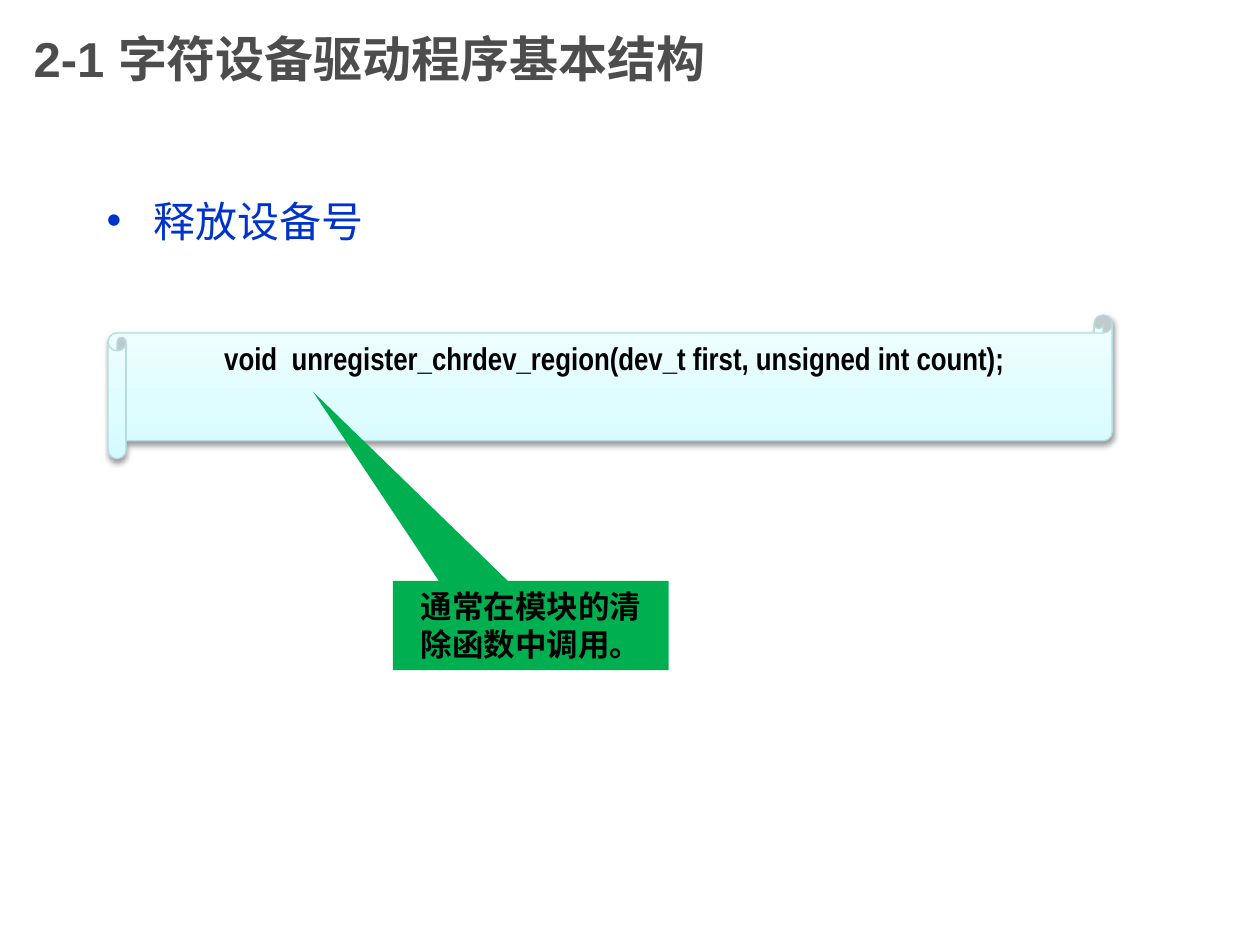
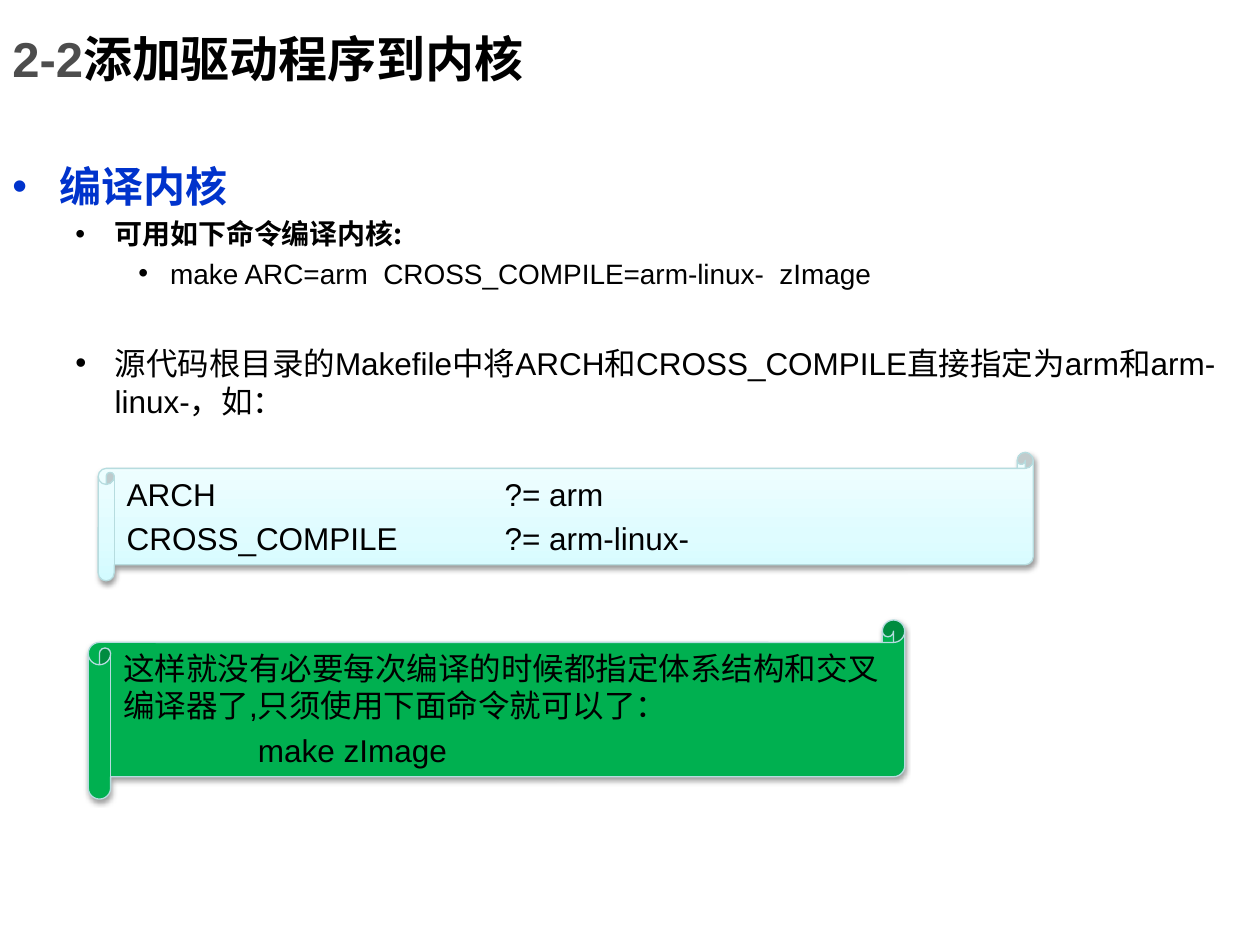
from lxml.etree import SubElement
from pptx import Presentation
from pptx.dml.color import RGBColor
from pptx.enum.shapes import MSO_SHAPE
from pptx.enum.text import MSO_ANCHOR, PP_ALIGN
from pptx.oxml.ns import qn
from pptx.util import Cm, Pt

COLORS = {
    "title": "4D4D4D",
    "heading": "0033CC",
    "text": "000000",
    "note": "00B050",
    "scroll_line": "B6DCDF",
    "shadow": "000000",
}
SCROLL_STOPS = [(0, "D3FBFF"), (35, "DFFCFF"), (100, "F2FEFF")]
CHINESE_FONT = "Noto Sans CJK SC"
LEVEL_INDENTS = [(0.95, 0.95), (2.06, 0.79), (3.18, 0.64)]


def color(name):
    """Return the named palette colour."""
    return RGBColor.from_string(COLORS[name])


def add_child(parent, tag, **attributes):
    """Append a drawing element with the given attributes."""
    values = {key: str(value) for key, value in attributes.items()}
    return SubElement(parent, qn(f"a:{tag}"), values)


def style_font(para, size, name="Arial", bold=False, tint="text"):
    """Set the font that all runs of a paragraph share."""
    font = para.font
    font.size, font.name, font.bold = Pt(size), name, bold
    font.color.rgb = color(tint)
    add_child(para._p.pPr.find(qn("a:defRPr")), "ea", typeface=CHINESE_FONT)


def fill_paragraphs(frame, items, write):
    """Write each item into its own paragraph of a text frame."""
    frame.word_wrap = True
    for index, item in enumerate(items):
        para = frame.add_paragraph() if index else frame.paragraphs[0]
        write(para, *item)


def add_title(page, left, number, text, text_color="title"):
    """Add the slide title, its number always grey."""
    box = page.shapes.add_textbox(Cm(left), 0, Cm(19.05), Cm(2.34))
    frame = box.text_frame
    frame.word_wrap = True
    frame.vertical_anchor = MSO_ANCHOR.MIDDLE
    para = frame.paragraphs[0]
    style_font(para, 28, bold=True, tint="title")
    para.add_run().text = number
    span = para.add_run()
    span.text = text
    span.font.color.rgb = color(text_color)


def write_bullet(para, level, text, size, style, before=None):
    """Write one bulleted paragraph at its outline level."""
    para.text = text
    para.level = level
    para.space_before = Pt(0.2 * size if before is None else before)
    margin, hanging = LEVEL_INDENTS[level]
    properties = para._p.get_or_add_pPr()
    properties.set("marL", str(Cm(margin)))
    properties.set("indent", str(-Cm(hanging)))
    add_child(properties, "buFont", typeface="Arial")
    add_child(properties, "buChar", char="•")
    style_font(para, size, **style)


def add_bullets(page, area, items):
    """Add the body text as a bulleted outline."""
    box = page.shapes.add_textbox(*map(Cm, area))
    fill_paragraphs(box.text_frame, items, write_bullet)


def write_line(para, text, indent=0, tab=None, centered=False, **style):
    """Write one line inside a shape."""
    para.text = text
    para.alignment = PP_ALIGN.CENTER if centered else PP_ALIGN.LEFT
    para.space_before = Pt(3.6)
    properties = para._p.pPr
    properties.set("marL", str(Cm(indent)))
    if tab:
        stops = add_child(properties, "tabLst")
        add_child(stops, "tab", pos=Cm(tab), algn="l")
    style_font(para, 18, **style)


def add_panel(page, preset, area, lines, **style):
    """Add a green preset shape with top-anchored lines of text."""
    panel = page.shapes.add_shape(preset, *map(Cm, area))
    panel.shadow.inherit = False
    panel.fill.solid()
    panel.fill.fore_color.rgb = color("note")
    panel.line.fill.background()
    panel.text_frame.vertical_anchor = MSO_ANCHOR.TOP
    fill_paragraphs(panel.text_frame, lines,
                    lambda para, text, indent=0, tab=None:
                    write_line(para, text, indent, tab, **style))
    return panel


def add_scroll(page, area, lines, gradient=True, **style):
    """Add a scroll with a thin outline and a soft shadow below."""
    scroll = add_panel(page, MSO_SHAPE.HORIZONTAL_SCROLL, area, lines, **style)
    scroll.line.color.rgb = color("scroll_line")
    scroll.line.width = Pt(0.75)
    properties = scroll._element.spPr
    shadow = add_child(properties.find(qn("a:effectLst")), "outerShdw",
                       blurRad=Pt(3.1), dist=Pt(1.6), dir=90 * 60000, rotWithShape=0)
    shade = add_child(shadow, "srgbClr", val=COLORS["shadow"])
    add_child(shade, "alpha", val=38000)
    if gradient:
        scroll.fill.gradient()
        scroll.fill.gradient_angle = 90
        stops = properties.find(qn("a:gradFill")).find(qn("a:gsLst"))
        for stop in list(stops):
            stops.remove(stop)
        for position, value in SCROLL_STOPS:
            stop = add_child(stops, "gs", pos=position * 1000)
            add_child(stop, "srgbClr", val=value)


def add_callout(page, area, text, pointer, **style):
    """Add a callout whose tip lies at the pointer offset."""
    callout = add_panel(page, MSO_SHAPE.RECTANGULAR_CALLOUT, area, [(text,)], **style)
    callout.adjustments[0], callout.adjustments[1] = pointer


def build_release_slide(page):
    """Show how a device number is released."""
    code_style = {"name": "Arial Narrow", "bold": True, "centered": True}
    add_title(page, 0.43, "2-1 ", "字符设备驱动程序基本结构")
    add_bullets(page, (1.9, 3.81, 21.59, 13.13),
                [(0, "释放设备号", 24, {"tint": "heading"})])
    add_scroll(page, (2.18, 6.35, 20.24, 2.9),
               [("void  unregister_chrdev_region(dev_t first, unsigned int count);",)],
               **code_style)
    add_callout(page, (7.92, 11.71, 5.56, 1.8), "通常在模块的清除函数中调用。",
                (-0.79, -2.62), **code_style)


def build_kernel_slide(page):
    """Show how the kernel is compiled with the driver."""
    add_title(page, 0, "2-2", "添加驱动程序到内核", "text")
    add_bullets(page, (0, 3.12, 25.4, 15.19), [
        (0, "编译内核", 24, {"bold": True, "tint": "heading"}),
        (1, "可用如下命令编译内核:", 16, {"name": CHINESE_FONT, "bold": True}),
        (2, "make ARC=arm  CROSS_COMPILE=arm-linux-  zImage", 16, {}),
        (1, "源代码根目录的Makefile中将ARCH和CROSS_COMPILE直接指定为arm和arm-linux-，如：",
         18, {}, 31),
    ])
    add_scroll(page, (1.78, 12.5, 16.46, 3.61), [
        ("这样就没有必要每次编译的时候都指定体系结构和交叉编译器了,只须使用下面命令就可以了：",),
        ("make zImage", 2.72),
    ], gradient=False)
    add_scroll(page, (1.98, 9.12, 18.85, 2.59), [
        ("ARCH\t?= arm", 0, 7.62),
        ("CROSS_COMPILE\t?= arm-linux-", 0, 7.62),
    ])


def main():
    """Build and save the deck."""
    deck = Presentation()
    deck.slide_width, deck.slide_height = Cm(25.4), Cm(19.05)
    for build in (build_release_slide, build_kernel_slide):
        build(deck.slides.add_slide(deck.slide_layouts[6]))
    deck.save("out.pptx")


if __name__ == "__main__":
    main()
